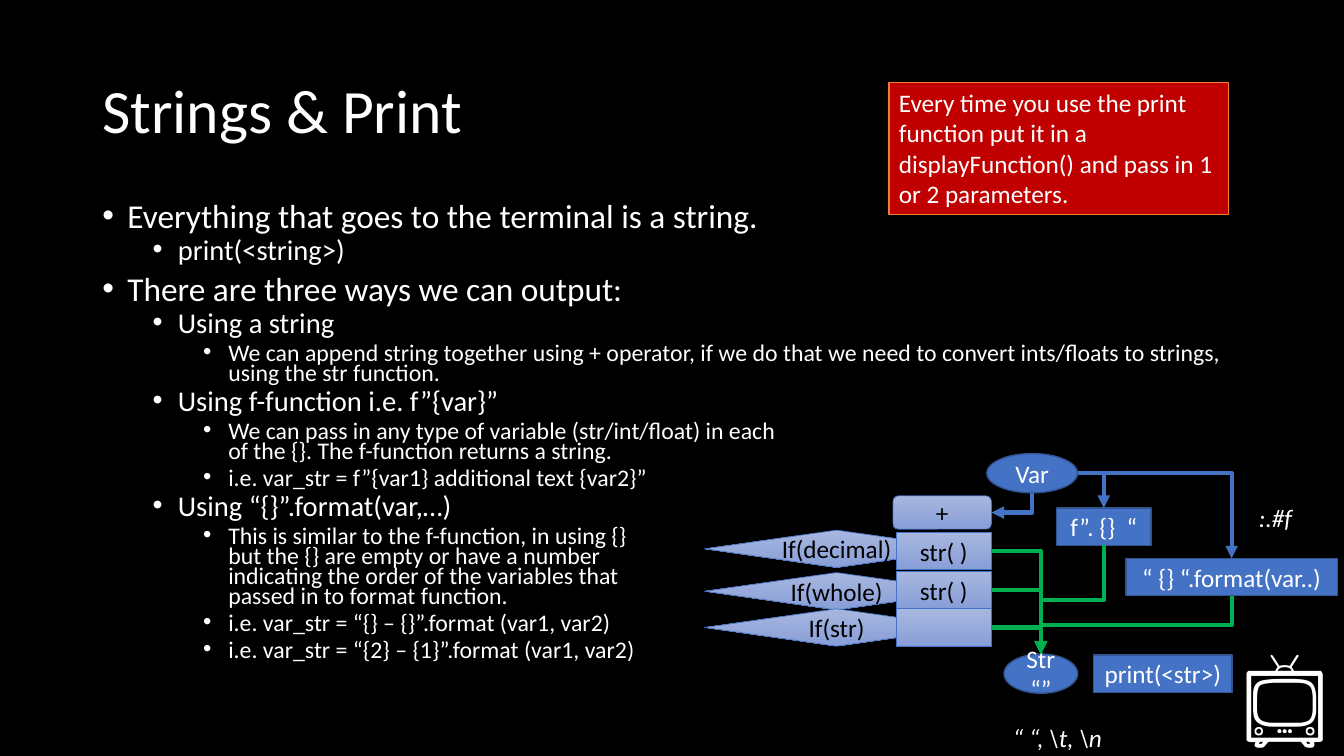
from lxml import etree
from pptx import Presentation
from pptx.dml.color import RGBColor
from pptx.enum import shapes, text
from pptx.oxml import ns
from pptx.util import Pt

WHITE = RGBColor(0xFF, 0xFF, 0xFF)
BLACK = RGBColor(0, 0, 0)
BLUE = RGBColor(0x44, 0x72, 0xC4)
DARK_BLUE = RGBColor(0x32, 0x54, 0x91)
PALE_TOP = RGBColor(0xA8, 0xB7, 0xDF)
PALE_BOTTOM = RGBColor(0x88, 0x9E, 0xD7)
GREEN = RGBColor(0, 0xB0, 0x50)
RED = RGBColor(0xC0, 0, 0)
ORANGE = RGBColor(0xED, 0x7D, 0x31)

PRESET = shapes.MSO_SHAPE
LEFT, CENTER = text.PP_ALIGN.LEFT, text.PP_ALIGN.CENTER
TOP, MIDDLE = text.MSO_ANCHOR.TOP, text.MSO_ANCHOR.MIDDLE

LEVEL_SIZES = [23.8, 20.4, 17]
OUTLINE = [
    (0, "Everything that goes to the terminal is a string."),
    (1, "print(<string>)"),
    (0, "There are three ways we can output:"),
    (1, "Using a string"),
    (2, "We can append string together using + operator, if we do that we need to "
        "convert ints/floats to strings, using the str function."),
    (1, "Using f-function i.e. f”{var}”"),
    (2, "We can pass in any type of variable (str/int/float) in each \n"
        "of the {}. The f-function returns a string."),
    (2, "i.e. var_str = f”{var1} additional text {var2}”"),
    (1, "Using “{}”.format(var,…)"),
    (2, "This is similar to the f-function, in using {}\n"
        "but the {} are empty or have a number \n"
        "indicating the order of the variables that \n"
        "passed in to format function."),
    (2, "i.e. var_str = “{} – {}”.format (var1, var2)"),
    (2, "i.e. var_str = “{2} – {1}”.format (var1, var2)"),
]
CONVERSIONS = [
    ("If(decimal)", 378.7, "str( )", 380.2),
    ("If(whole)", 409, "str( )", 408.2),
    ("If(str)", 434.9, "", 434.9),
]


def write(paragraph, words, size=18, color=WHITE, italic=False, align=LEFT, spacing=None):
    paragraph.text = words
    paragraph.alignment = align
    if spacing:
        paragraph.line_spacing = spacing
    for run in paragraph.runs:
        run.font.name = "Calibri"
        run.font.size = Pt(size)
        run.font.color.rgb = color
        run.font.italic = italic
    for line_break in paragraph._p.findall(ns.qn("a:br")):
        etree.SubElement(line_break, ns.qn("a:rPr")).set("sz", str(round(size * 100)))


def add_title(slide, words):
    title = slide.shapes.title
    title.left, title.top, title.width, title.height = Pt(66), Pt(28.8), Pt(828), Pt(104.4)
    title.text_frame.auto_size = text.MSO_AUTO_SIZE.NONE
    title.text_frame.vertical_anchor = MIDDLE
    write(title.text_frame.paragraphs[0], words, size=44, spacing=0.9)


def add_outline(slide, left, top, width, height):
    frame = slide.shapes.add_textbox(Pt(left), Pt(top), Pt(width), Pt(height)).text_frame
    frame.word_wrap = True
    for index, (level, words) in enumerate(OUTLINE):
        paragraph = frame.add_paragraph() if index else frame.paragraphs[0]
        paragraph.level = level
        properties = paragraph._p.get_or_add_pPr()
        properties.set("marL", str(Pt(18 + 36 * level)))
        properties.set("indent", str(Pt(-18)))
        etree.SubElement(properties, ns.qn("a:buFont")).set("typeface", "Arial")
        etree.SubElement(properties, ns.qn("a:buChar")).set("char", "•")
        write(paragraph, words, size=LEVEL_SIZES[level], spacing=0.7)
        if index:
            paragraph.space_before = Pt(5 if level else 10)


def add_label(slide, words, left, top, width, height, **style):
    box = slide.shapes.add_textbox(Pt(left), Pt(top), Pt(width), Pt(height))
    box.text_frame.word_wrap = False
    write(box.text_frame.paragraphs[0], words, **style)


def add_node(slide, preset, words, left, top, width, height, fill=BLUE, line=DARK_BLUE,
             line_width=1, anchor=MIDDLE, align=CENTER, color=WHITE):
    node = slide.shapes.add_shape(preset, Pt(left), Pt(top), Pt(width), Pt(height))
    node.shadow.inherit = False
    if fill is None:
        node.fill.gradient()
        node.fill.gradient_angle = 270
        for stop, shade in zip(node.fill.gradient_stops, (PALE_TOP, PALE_BOTTOM)):
            stop.color.rgb = shade
        for position, stop in enumerate(node.fill.gradient_stops):
            stop.position = position
    else:
        node.fill.solid()
        node.fill.fore_color.rgb = fill
    node.line.color.rgb = line
    node.line.width = Pt(line_width)
    node.text_frame.word_wrap = True
    node.text_frame.vertical_anchor = anchor
    if words:
        write(node.text_frame.paragraphs[0], words, color=color, align=align)
    return node


def add_pale_node(slide, preset, words, left, top, width, height):
    return add_node(slide, preset, words, left, top, width, height,
                    fill=None, line=BLUE, line_width=0.5, color=BLACK)


def side(node, name):
    horizontal, vertical = {"top": (0.5, 0), "right": (1, 0.5), "bottom": (0.5, 1)}[name]
    return node.left + round(node.width * horizontal), node.top + round(node.height * vertical)


def add_elbow(slide, start, end, color, downward=False, bends=1):
    connector = slide.shapes.add_connector(shapes.MSO_CONNECTOR.ELBOW, *start, *end)
    connector.line.color.rgb = color
    connector.line.width = Pt(3)
    properties = connector._element.spPr
    properties.find(ns.qn("a:prstGeom")).set("prst", f"bentConnector{bends + 1}")
    if downward:
        across, down = abs(end[0] - start[0]), end[1] - start[1]
        connector.left = (start[0] + end[0] - down) // 2
        connector.top = (start[1] + end[1] - across) // 2
        connector.width, connector.height = down, across
        transform = properties.find(ns.qn("a:xfrm"))
        transform.attrib.pop("flipH", None)
        transform.set("rot", str(90 * 60000))
    etree.SubElement(connector.line._get_or_add_ln(), ns.qn("a:tailEnd")).set("type", "triangle")
    etree.SubElement(properties, ns.qn("a:effectLst"))


def add_diagram(slide):
    process = PRESET.FLOWCHART_PROCESS
    add_node(slide, process, "print(<str>)", 781.2, 467.8, 98.8, 26.7)
    result = add_node(slide, PRESET.OVAL, "Str “”", 717.2, 467.2, 52.6, 28)
    variable = add_node(slide, PRESET.OVAL, "Var", 704.9, 324, 64.8, 28)

    conversions = []
    for condition, condition_top, call, call_top in CONVERSIONS:
        add_pale_node(slide, PRESET.FLOWCHART_DECISION, condition, 503.3, condition_top, 188.6, 26.7)
        conversions.append(add_pale_node(slide, process, call, 640.3, call_top, 67.7, 26.7))
    plus = add_pale_node(slide, PRESET.ROUNDED_RECTANGLE, "+", 637.9, 354.2, 70.3, 23.8)
    f_string = add_node(slide, process, "f”. {}  “", 754.6, 362.9, 67.7, 26.7)
    format_call = add_node(slide, process, "“ {} “.format(var..)", 804.2, 398.9, 151.2, 26.7)

    for conversion in conversions:
        add_elbow(slide, side(conversion, "right"), side(result, "top"), GREEN)
    for output in (f_string, format_call):
        add_elbow(slide, side(output, "bottom"), side(result, "top"), GREEN, downward=True, bends=2)
        add_elbow(slide, side(variable, "right"), side(output, "top"), BLUE)
    add_elbow(slide, side(variable, "bottom"), side(plus, "right"), BLUE, downward=True)


def main():
    presentation = Presentation()
    presentation.slide_width, presentation.slide_height = Pt(960), Pt(540)
    slide = presentation.slides.add_slide(presentation.slide_layouts[5])
    slide.background.fill.solid()
    slide.background.fill.fore_color.rgb = BLACK

    add_title(slide, "Strings & Print")
    add_outline(slide, 66, 144, 828, 342.7)
    add_label(slide, "📺", 879.8, 447.1, 91.4, 94.3, size=72)
    add_diagram(slide)
    add_label(slide, "“ “, \\t, \\n", 716.4, 512.6, 87.1, 28.8, italic=True)
    add_label(slide, ":.#f", 892.1, 355, 52.6, 28.8, italic=True)
    add_node(slide, PRESET.RECTANGLE,
             "Every time you use the print function put it in a displayFunction() "
             "and pass in 1 or 2 parameters.",
             635, 59, 242.6, 94.3, fill=RED, line=ORANGE, anchor=TOP, align=LEFT)
    presentation.save("out.pptx")


if __name__ == "__main__":
    main()
